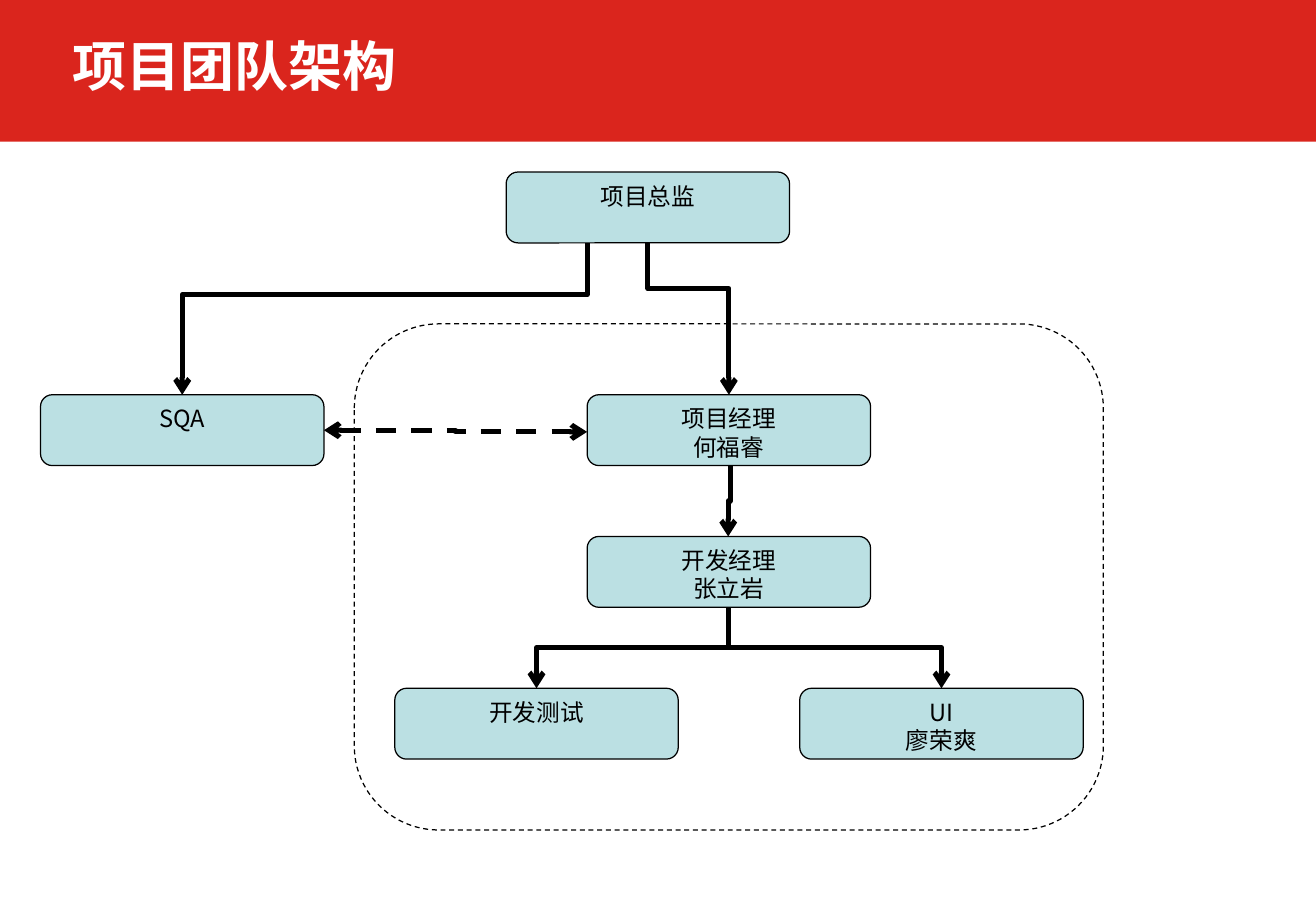
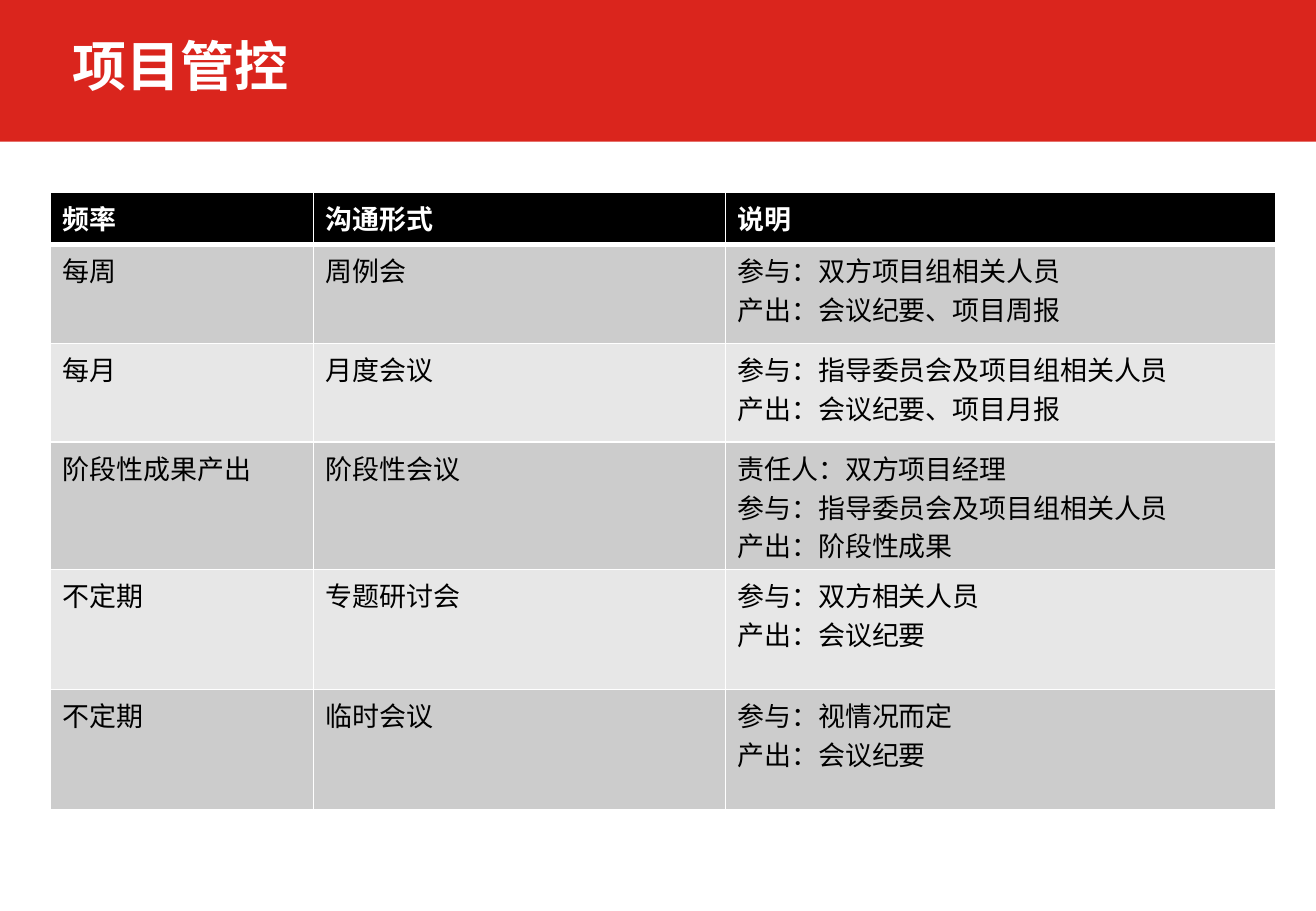
import pptx
import pptx.dml.color
import pptx.enum.dml
import pptx.enum.shapes
import pptx.enum.text
import pptx.oxml
import pptx.oxml.ns
import pptx.util
from lxml import etree

Pt = pptx.util.Pt
RGBColor = pptx.dml.color.RGBColor
MSO_SHAPE = pptx.enum.shapes.MSO_SHAPE
ELBOW = pptx.enum.shapes.MSO_CONNECTOR.ELBOW
DASH = pptx.enum.dml.MSO_LINE.DASH
PP_ALIGN = pptx.enum.text.PP_ALIGN
MSO_ANCHOR = pptx.enum.text.MSO_ANCHOR
MSO_AUTO_SIZE = pptx.enum.text.MSO_AUTO_SIZE
qn = pptx.oxml.ns.qn

RED = RGBColor(0xDA, 0x25, 0x1D)
WHITE = RGBColor(0xFF, 0xFF, 0xFF)
BLACK = RGBColor(0, 0, 0)
TEAL = RGBColor(0xBB, 0xE0, 0xE3)
GRAY = RGBColor(0xCC, 0xCC, 0xCC)
PALE = RGBColor(0xE7, 0xE7, 0xE7)

FONT = "Noto Sans CJK SC"
SLIDE_W, SLIDE_H = 780, 540
BAND_H = 84
NODE_W, NODE_H = 168, 42

ROWS = [
    (31, ["频率"], ["沟通形式"], ["说明"]),
    (58.5, ["每周"], ["周例会"], ["参与：双方项目组相关人员", "产出：会议纪要、项目周报"]),
    (58.5, ["每月"], ["月度会议"], ["参与：指导委员会及项目组相关人员", "产出：会议纪要、项目月报"]),
    (75.6, ["阶段性成果产出"], ["阶段性会议"],
     ["责任人：双方项目经理", "参与：指导委员会及项目组相关人员", "产出：阶段性成果"]),
    (71.2, ["不定期"], ["专题研讨会"], ["参与：双方相关人员", "产出：会议纪要"]),
    (71.2, ["不定期"], ["临时会议"], ["参与：视情况而定", "产出：会议纪要"]),
]


def write(tf, lines, size, color, bold=False, align=PP_ALIGN.LEFT):
    """Write one paragraph per line."""
    for i, text in enumerate(lines):
        p = tf.paragraphs[0] if i == 0 else tf.add_paragraph()
        p.alignment = align
        r = p.add_run()
        r.text = text
        r.font.name = FONT
        r.font.size = Pt(size)
        r.font.bold = bold
        r.font.color.rgb = color
        etree.SubElement(r.font._element, qn("a:ea")).set("typeface", FONT)


def add_box(slide, kind, x, y, w, h, fill=None, line=None):
    """Add a preset shape with an optional fill and thin outline."""
    sp = slide.shapes.add_shape(kind, Pt(x), Pt(y), Pt(w), Pt(h))
    sp.shadow.inherit = False
    if fill is None:
        sp.fill.background()
    else:
        sp.fill.solid()
        sp.fill.fore_color.rgb = fill
    if line is None:
        sp.line.fill.background()
    else:
        sp.line.color.rgb = line
        sp.line.width = Pt(0.75)
    return sp


def add_titled_slide(prs, title):
    """Add a blank slide with the red band and its title."""
    slide = prs.slides.add_slide(prs.slide_layouts[6])
    add_box(slide, MSO_SHAPE.RECTANGLE, 0, 0, SLIDE_W, BAND_H, RED)
    tf = slide.shapes.add_textbox(0, 0, Pt(SLIDE_W), Pt(58.3)).text_frame
    tf.word_wrap = True
    tf.auto_size = MSO_AUTO_SIZE.SHAPE_TO_FIT_TEXT
    tf.vertical_anchor = MSO_ANCHOR.MIDDLE
    write(tf, [title], 32, WHITE, True)
    p = tf.paragraphs[0]
    p.line_spacing = 1.5
    p._p.get_or_add_pPr().set("marL", str(Pt(36)))
    return slide


def add_node(slide, x, y, *lines):
    """Add a role box."""
    sp = add_box(slide, MSO_SHAPE.ROUNDED_RECTANGLE, x, y, NODE_W, NODE_H, TEAL, BLACK)
    tf = sp.text_frame
    tf.vertical_anchor = MSO_ANCHOR.TOP
    write(tf, lines, 14, BLACK, align=PP_ALIGN.CENTER)


def style_arrow(cxn, ends=("tailEnd",)):
    """Give a connector a heavy black line and arrowheads."""
    cxn.line.color.rgb = BLACK
    cxn.line.width = Pt(3)
    ln = cxn.line._get_or_add_ln()
    for end in ends:
        etree.SubElement(ln, qn("a:" + end)).set("type", "arrow")
    etree.SubElement(cxn._element.spPr, qn("a:effectLst"))


def add_down_arrow(slide, x1, y1, x2, y2, bend=0.5):
    """Add an elbow arrow that leaves and arrives vertically."""
    cx, cy = (x1 + x2) / 2, (y1 + y2) / 2
    half_w, half_h = (y2 - y1) / 2, abs(x2 - x1) / 2
    cxn = slide.shapes.add_connector(ELBOW, Pt(cx - half_w), Pt(cy - half_h),
                                     Pt(cx + half_w), Pt(cy + half_h))
    xfrm = cxn._element.spPr.find(qn("a:xfrm"))
    xfrm.set("rot", str((270 if x2 > x1 else 90) * 60000))
    if x2 > x1:
        xfrm.set("flipH", "1")
    geom = cxn._element.spPr.find(qn("a:prstGeom"))
    gd = etree.SubElement(geom.find(qn("a:avLst")), qn("a:gd"))
    gd.set("name", "adj1")
    gd.set("fmla", f"val {round(bend * 100000)}")
    style_arrow(cxn)


def add_org_chart(slide, x, y):
    """Draw the team chart with its top left corner at x, y."""
    lead_x, lead_mid = x + 324, x + 324 + NODE_W / 2
    manager_y, dev_y, staff_y = y + 132, y + 216, y + 306
    add_node(slide, lead_x, manager_y, "项目经理", "何福睿")
    add_node(slide, lead_x, dev_y, "开发经理", "张立岩")
    add_node(slide, x, manager_y, "SQA")
    add_node(slide, x + 210, staff_y, "开发测试")
    add_node(slide, x + 450, staff_y, "UI", "廖荣爽")
    team = add_box(slide, MSO_SHAPE.ROUNDED_RECTANGLE, x + 186, y + 90, 444, 300, line=BLACK)
    team.line.dash_style = DASH
    add_node(slide, x + 276, y, "项目总监")

    add_down_arrow(slide, x + 324, y + NODE_H, x + NODE_W / 2, manager_y, 0.34)
    add_down_arrow(slide, x + 360, y + NODE_H, lead_mid, manager_y, 0.3)
    add_down_arrow(slide, lead_mid + 0.7, manager_y + NODE_H, lead_mid - 0.4, dev_y)
    for staff_x in (x + 210, x + 450):
        add_down_arrow(slide, lead_mid, dev_y + NODE_H, staff_x + NODE_W / 2, staff_y)
    mid_y = manager_y + NODE_H / 2
    cxn = slide.shapes.add_connector(ELBOW, Pt(x + NODE_W), Pt(mid_y), Pt(lead_x), Pt(mid_y + 1))
    cxn.line.dash_style = DASH
    style_arrow(cxn, ("headEnd", "tailEnd"))


def style_cell(cell, fill, top, bottom):
    """Give a cell white borders and a plain fill."""
    tc_pr = cell._tc.get_or_add_tcPr()
    for side, width in (("lnL", 1), ("lnR", 1), ("lnT", top), ("lnB", bottom)):
        ln = etree.SubElement(tc_pr, qn("a:" + side))
        ln.set("w", str(Pt(width)))
        solid = etree.SubElement(ln, qn("a:solidFill"))
        etree.SubElement(solid, qn("a:srgbClr")).set("val", str(WHITE))
    cell.fill.solid()
    cell.fill.fore_color.rgb = fill


def add_meeting_table(slide, x, y, widths):
    """Add the meeting table with its top left corner at x, y."""
    height = sum(row[0] for row in ROWS)
    table = slide.shapes.add_table(len(ROWS), len(widths), Pt(x), Pt(y),
                                   Pt(sum(widths)), Pt(height)).table
    for col, width in zip(table.columns, widths):
        col.width = Pt(width)
    for i, (row_h, *texts) in enumerate(ROWS):
        table.rows[i].height = Pt(row_h)
        header = i == 0
        fill = BLACK if header else GRAY if i % 2 else PALE
        for j, lines in enumerate(texts):
            cell = table.cell(i, j)
            style_cell(cell, fill, 3 if i == 1 else 1, 3 if header else 1)
            write(cell.text_frame, lines, 16, WHITE if header else BLACK, header)


def main():
    """Build and save the deck."""
    prs = pptx.Presentation()
    prs.slide_width, prs.slide_height = Pt(SLIDE_W), Pt(SLIDE_H)
    add_org_chart(add_titled_slide(prs, "项目团队架构"), 24, 102)
    add_meeting_table(add_titled_slide(prs, "项目管控"), 30, 114, (156, 244, 326))
    prs.save("out.pptx")


if __name__ == "__main__":
    main()
